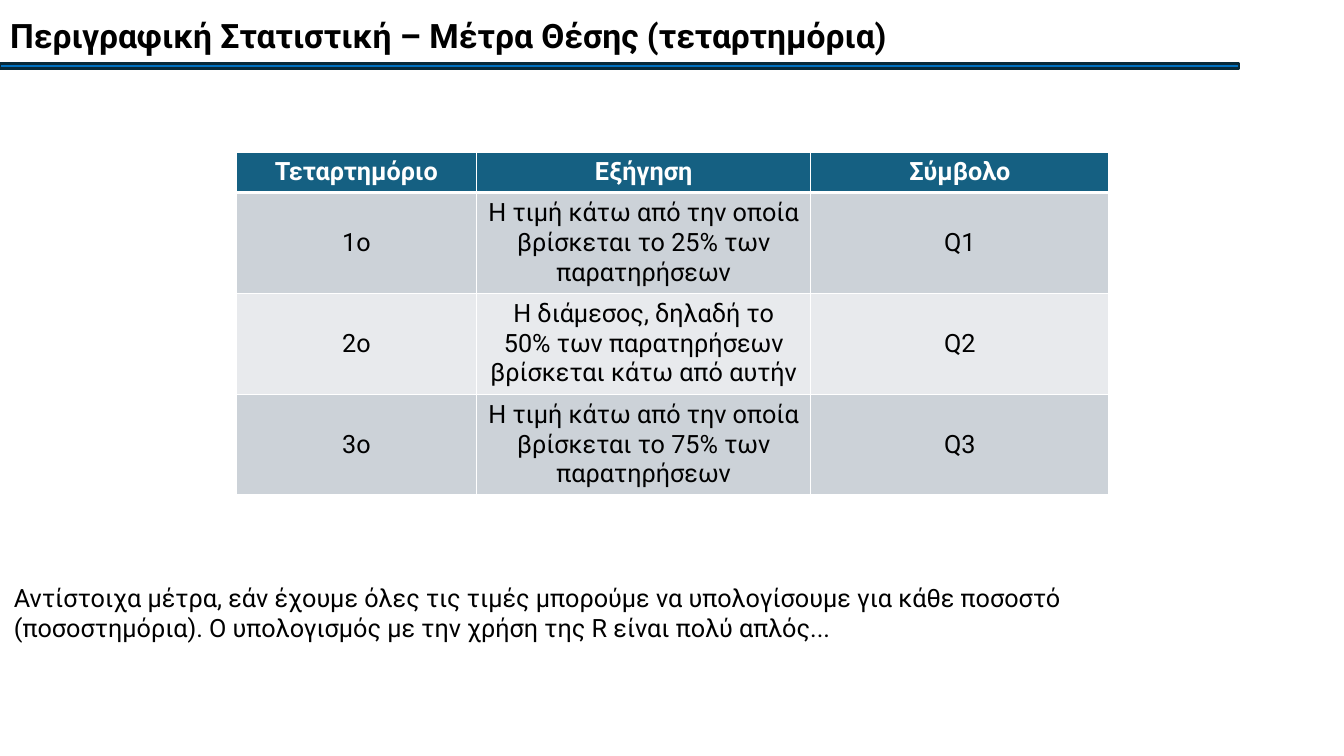
from pptx import Presentation
from pptx.dml.color import RGBColor
from pptx.enum.shapes import MSO_SHAPE
from pptx.enum.text import MSO_ANCHOR, MSO_AUTO_SIZE, PP_ALIGN
from pptx.oxml import parse_xml
from pptx.oxml.ns import nsdecls
from pptx.util import Inches, Pt

RECTANGLE = MSO_SHAPE.RECTANGLE
TOP, MIDDLE = MSO_ANCHOR.TOP, MSO_ANCHOR.MIDDLE
LEFT, CENTER = PP_ALIGN.LEFT, PP_ALIGN.CENTER
NO_AUTOFIT = MSO_AUTO_SIZE.NONE
TITLE_ONLY = 5

TITLE = "Περιγραφική Στατιστική – Μέτρα Θέσης (τεταρτημόρια)"
QUARTILES = [
    ["Τεταρτημόριο", "Εξήγηση", "Σύμβολο"],
    ["1ο", "Η τιμή κάτω από την οποία βρίσκεται το 25% των παρατηρήσεων", "Q1"],
    ["2ο", "Η διάμεσος, δηλαδή το 50% των παρατηρήσεων βρίσκεται κάτω από αυτήν", "Q2"],
    ["3ο", "Η τιμή κάτω από την οποία βρίσκεται το 75% των παρατηρήσεων", "Q3"],
]
CLOSING = (
    "Αντίστοιχα μέτρα, εάν έχουμε όλες τις τιμές μπορούμε να υπολογίσουμε για κάθε "
    "ποσοστό (ποσοστημόρια). Ο υπολογισμός με την χρήση της R είναι πολύ απλός..."
)


def color(value):
    return RGBColor.from_string(value)


class Page:
    font = "Roboto"
    ink = "000000"
    paper = "FFFFFF"
    header = "156082"
    bands = ("CCD2D8", "E8EAED")

    def __init__(self, deck):
        self.slide = deck.slides.add_slide(deck.slide_layouts[TITLE_ONLY])

    def set_text(self, frame, text, size, ink, bold=False, align=LEFT):
        frame.text = text
        para = frame.paragraphs[0]
        para.alignment = align
        para.font.name = self.font
        para.font.size = Pt(size)
        para.font.bold = bold
        para.font.color.rgb = color(ink)

    def bar(self, left, top, width, height, fill, line):
        shape = self.slide.shapes.add_shape(
            RECTANGLE, Inches(left), Inches(top), Inches(width), Inches(height))
        shape.shadow.inherit = False
        shape.fill.solid()
        shape.fill.fore_color.rgb = color(fill)
        shape.line.color.rgb = color(line)
        shape.line.width = Pt(1.5)

    def title(self, text, left, top, width, height):
        box = self.slide.shapes.title
        box.left, box.top = Inches(left), Inches(top)
        box.width, box.height = Inches(width), Inches(height)
        frame = box.text_frame
        frame.word_wrap = True
        frame.auto_size = NO_AUTOFIT
        frame.vertical_anchor = TOP
        self.set_text(frame, text, 24, self.ink, bold=True)

    def text(self, text, left, top, width, height):
        box = self.slide.shapes.add_textbox(
            Inches(left), Inches(top), Inches(width), Inches(height))
        box.text_frame.word_wrap = True
        self.set_text(box.text_frame, text, 18, self.ink)

    def border(self, cell, side, points):
        cell._tc.get_or_add_tcPr().append(parse_xml(
            f'<a:ln{side} {nsdecls("a")} w="{Pt(points)}"><a:solidFill>'
            f'<a:srgbClr val="{self.paper}"/></a:solidFill></a:ln{side}>'))

    def table(self, rows, left, top, widths, heights):
        table = self.slide.shapes.add_table(
            len(rows), len(widths), Inches(left), Inches(top),
            Inches(sum(widths)), Inches(sum(heights))).table
        for column, width in zip(table.columns, widths):
            column.width = Inches(width)
        for i, (texts, height) in enumerate(zip(rows, heights)):
            table.rows[i].height = Inches(height)
            is_header = i == 0
            fill = self.header if is_header else self.bands[(i - 1) % 2]
            ink = self.paper if is_header else self.ink
            edges = {"L": 1, "R": 1, "T": 3 if i == 1 else 1, "B": 3 if is_header else 1}
            for j, text in enumerate(texts):
                cell = table.cell(i, j)
                for side, points in edges.items():
                    self.border(cell, side, points)
                cell.fill.solid()
                cell.fill.fore_color.rgb = color(fill)
                cell.vertical_anchor = TOP if is_header else MIDDLE
                self.set_text(cell.text_frame, text, 18, ink, is_header, CENTER)


def main():
    deck = Presentation()
    deck.slide_width, deck.slide_height = Inches(13.33), Inches(7.5)
    page = Page(deck)
    page.bar(0, 0.63, 12.29, 0.05, "0070C0", "092A39")
    page.title(TITLE, 0, 0.1, 9.9, 0.5)
    page.table(QUARTILES, 2.34, 1.51, [2.39, 3.31, 2.96], [0.4] + [1] * 3)
    page.text(CLOSING, 0.04, 5.73, 12.2, 0.71)
    deck.save("out.pptx")


if __name__ == "__main__":
    main()
